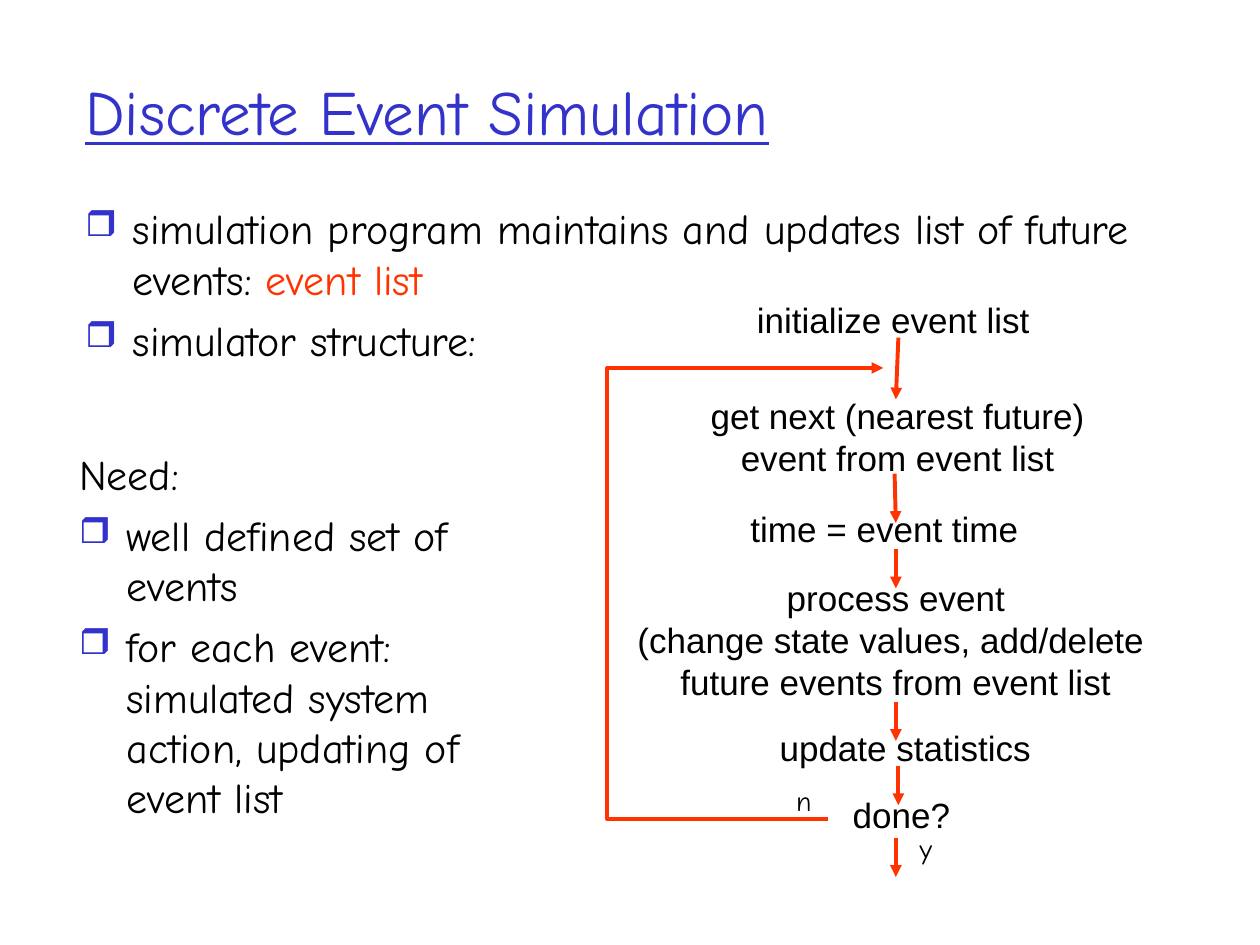
from lxml.etree import SubElement
from pptx import Presentation
from pptx.dml.color import RGBColor
from pptx.enum.shapes import MSO_CONNECTOR
from pptx.enum.text import MSO_ANCHOR, MSO_AUTO_SIZE, PP_ALIGN
from pptx.oxml.ns import qn
from pptx.util import Inches, Pt

BLUE = RGBColor(0x33, 0x33, 0xCC)
RED = RGBColor(0xFF, 0x33, 0x00)
BLACK = RGBColor(0x00, 0x00, 0x00)
HAND, SANS = "Comic Neue", "Arial"
LEFT, CENTER = PP_ALIGN.LEFT, PP_ALIGN.CENTER
CELL = Inches(0.1)
COLUMNS, ROWS = 100, 75
INDENT = 3.75
SLACK = 0.3

deck = Presentation()
deck.slide_width, deck.slide_height = COLUMNS * CELL, ROWS * CELL
page = deck.slides.add_slide(deck.slide_layouts[6])


def add_text(area, paragraphs, font, size, align=LEFT, wrap=False):
    box = page.shapes.add_textbox(*(round(n * CELL) for n in area))
    frame = box.text_frame
    frame.word_wrap = wrap
    frame.auto_size = MSO_AUTO_SIZE.NONE if wrap else MSO_AUTO_SIZE.SHAPE_TO_FIT_TEXT
    for index, runs in enumerate(paragraphs):
        para = frame.add_paragraph() if index else frame.paragraphs[0]
        para.alignment = align
        for text, color in runs:
            span = para.add_run()
            span.text = text
            span.font.name, span.font.size = font, Pt(size)
            span.font.color.rgb = color
    return frame


def style_arrow(shape):
    shape.line.color.rgb = RED
    shape.line.width = Pt(2.25)
    SubElement(shape.line._get_or_add_ln(), qn("a:tailEnd"), type="triangle")
    SubElement(shape._element.spPr, qn("a:effectLst"))


title = add_text((5.8, 2.5, 85, 12.5), [[("Discrete Event Simulation", BLUE)]],
                 HAND, 36, wrap=True)
title.vertical_anchor = MSO_ANCHOR.MIDDLE
title.paragraphs[0].runs[0].font.underline = True

overview = add_text((5.8, 15.6, 88.9, 16.8), [
    [("simulation program maintains and updates list of future events: ", BLACK),
     ("event list", RED)],
    [("simulator structure:", BLACK)],
], HAND, 24, wrap=True)
needs = add_text((5.3, 35.1, 38.3, 35), [
    [("Need:", BLACK)],
    [("well defined set of events", BLACK)],
    [("for each event: simulated system action, updating of event list", BLACK)],
], HAND, 24, wrap=True)

for para in overview.paragraphs + needs.paragraphs:
    para.space_before = Pt(6)
    props = para._p.get_or_add_pPr()
    props.set("marL", str(round(INDENT * CELL)))
    props.set("indent", str(round(-INDENT * CELL)))
    if para.text == "Need:":
        SubElement(props, qn("a:buNone"))
        continue
    bullet_color = SubElement(props, qn("a:buClr"))
    SubElement(bullet_color, qn("a:srgbClr"), val=str(BLUE))
    SubElement(props, qn("a:buSzPct"), val="85000")
    SubElement(props, qn("a:buChar"), char="❒")

steps = [
    ((59.1, 23.2, 23.6, 4.4), ["initialize event list"]),
    ((55.4, 30.8, 31.7, 7.7), ["get next (nearest future)", "event from event list"]),
    ((58.6, 39.8, 23.2, 4.4), ["time = event time"]),
    ((49.6, 45.3, 43, 11), ["process event", "(change state values, add/delete ",
                            "future events from event list"]),
    ((60.9, 57.2, 21.9, 4.4), ["update statistics"]),
    ((66.7, 62.5, 9.7, 4.4), ["done?"]),
]
for (left, top, width, height), lines in steps:
    add_text((left - SLACK, top, width + 2 * SLACK, height),
             [[(line, BLACK)] for line in lines], SANS, 20, CENTER)

for area, answer in [((62.2, 61.7, 3.5, 3.7), "n"), ((72, 65.5, 3.5, 3.7), "y")]:
    add_text(area, [[(answer, BLACK)]], HAND, 16)

arrows = [
    (71.3, 26.8, 71.1, 31.7),
    (71, 37.6, 71.1, 41.5),
    (71.1, 43.6, 71.1, 46.7),
    (71.1, 55.7, 71.1, 58.8),
    (71.3, 60.8, 71.3, 63.9),
    (71.1, 66.5, 71.1, 69.6),
]
for ends in arrows:
    style_arrow(page.shapes.add_connector(
        MSO_CONNECTOR.STRAIGHT, *(round(n * CELL) for n in ends)))

loop_points = [(round(x * CELL), round(y * CELL)) for x, y in
               [(65.7, 65), (48.2, 65), (48.2, 29.2), (70.1, 29.2)]]
builder = page.shapes.build_freeform(*loop_points[0])
builder.add_line_segments(loop_points[1:], close=False)
loop_back = builder.convert_to_shape()
loop_back.fill.background()
style_arrow(loop_back)

deck.save("out.pptx")
